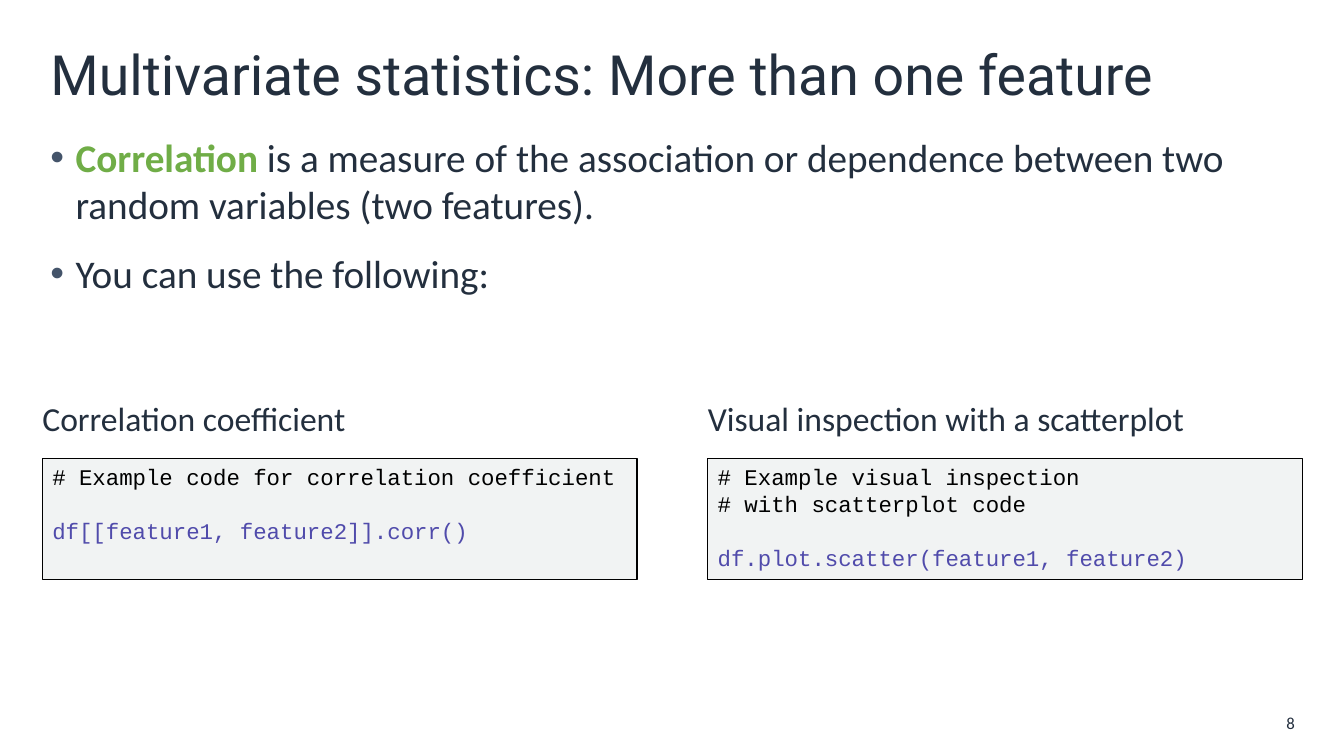
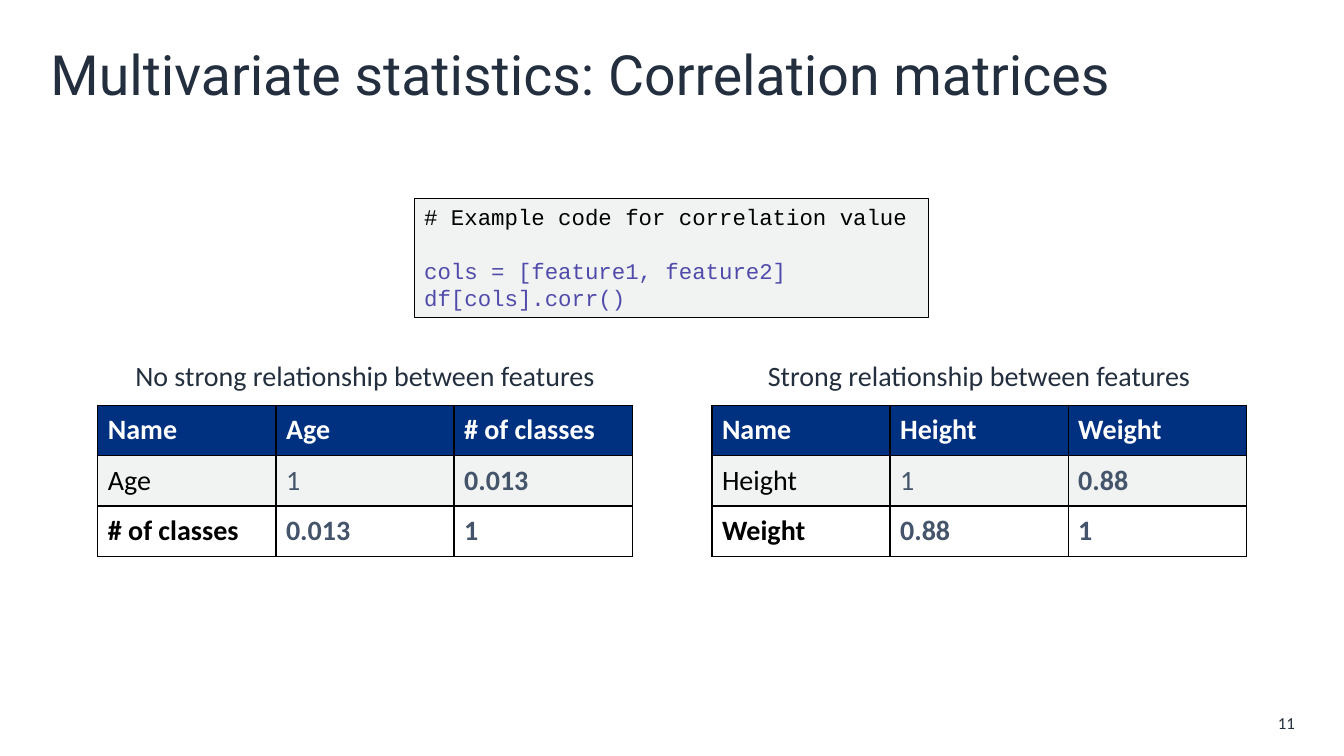
from dataclasses import dataclass

import pptx
import pptx.dml.color
import pptx.enum.shapes
import pptx.enum.text
import pptx.oxml
import pptx.oxml.ns
import pptx.util
from lxml import etree

RGB = pptx.dml.color.RGBColor
Pt = pptx.util.Pt
ALIGN = pptx.enum.text.PP_ALIGN
ANCHOR = pptx.enum.text.MSO_ANCHOR

INK = RGB(0x23, 0x2F, 0x3E)
SLATE = RGB(0x44, 0x54, 0x6A)
GREEN = RGB(0x70, 0xAD, 0x47)
NAVY = RGB(0x00, 0x31, 0x81)
VIOLET = RGB(0x50, 0x4B, 0xAB)
PALE = RGB(0xF1, 0xF3, 0xF3)
WHITE = RGB(0xFF, 0xFF, 0xFF)
BLACK = RGB(0x00, 0x00, 0x00)

BODY_FONT, TITLE_FONT, CODE_FONT = "Calibri", "Roboto", "Courier New"
TITLE_AND_BODY, TITLE_ONLY = 1, 5


@dataclass
class Box:
    """An area in inches; areas inside it are given in percent of it."""
    left: float
    top: float
    width: float
    height: float

    def inner(self, left, top, width, height):
        return Box(self.left + self.width * left / 100,
                   self.top + self.height * top / 100,
                   self.width * width / 100, self.height * height / 100)

    def halves(self, gap):
        width = (100 - gap) / 2
        return [self.inner(left, 0, width, 100) for left in (0, width + gap)]

    def emu(self):
        return [pptx.util.Inches(v)
                for v in (self.left, self.top, self.width, self.height)]


SLIDE = Box(0, 0, 13.33, 7.5)


# Text
def write(paragraph, text, size=20, font=BODY_FONT, color=INK, bold=False,
          align=ALIGN.LEFT, before=None, after=None):
    paragraph.alignment = align
    if before is not None:
        paragraph.space_before = Pt(before)
    if after is not None:
        paragraph.space_after = Pt(after)
    run = paragraph.add_run()
    run.text = text
    run.font.size, run.font.name, run.font.bold = Pt(size), font, bold
    run.font.color.rgb = color


def next_paragraph(frame, index):
    return frame.add_paragraph() if index else frame.paragraphs[0]


def place(shape, box):
    shape.left, shape.top, shape.width, shape.height = box.emu()


def add_label(slide, box, text, side_inset=0.1, anchor=ANCHOR.TOP, **text_format):
    frame = slide.shapes.add_textbox(*box.emu()).text_frame
    frame.word_wrap = True
    frame.vertical_anchor = anchor
    frame.margin_left = frame.margin_right = pptx.util.Inches(side_inset)
    write(frame.paragraphs[0], text, **text_format)


def add_bullet(paragraph):
    properties = paragraph._p.get_or_add_pPr()
    indent = pptx.util.Inches(0.25)
    properties.set("marL", str(indent))
    properties.set("indent", str(-indent))
    color = etree.SubElement(properties, pptx.oxml.ns.qn("a:buClr"))
    etree.SubElement(color, pptx.oxml.ns.qn("a:srgbClr"), val=str(SLATE))
    etree.SubElement(properties, pptx.oxml.ns.qn("a:buFont"), typeface="Arial")
    etree.SubElement(properties, pptx.oxml.ns.qn("a:buChar"), char="•")


# Shared frame: title and page number
def add_slide(deck, layout, title, number):
    slide = deck.slides.add_slide(deck.slide_layouts[layout])
    heading = slide.shapes.title
    place(heading, SLIDE.inner(3, 4.4, 94.07, 10.67))
    heading.text_frame.vertical_anchor = ANCHOR.MIDDLE
    heading.text_frame.auto_size = pptx.enum.text.MSO_AUTO_SIZE.NONE
    write(heading.text_frame.paragraphs[0], title, size=39.6, font=TITLE_FONT)
    add_label(slide, SLIDE.inner(93.1, 94, 3.98, 3.33), number, size=12,
              anchor=ANCHOR.MIDDLE, align=ALIGN.RIGHT)
    return slide


# Bulleted list, each point a list of (text, format) pieces
def fill_body(slide, box, points):
    body = slide.placeholders[1]
    place(body, box)
    body.text_frame.auto_size = pptx.enum.text.MSO_AUTO_SIZE.NONE
    for index, pieces in enumerate(points):
        paragraph = next_paragraph(body.text_frame, index)
        for text, text_format in pieces:
            write(paragraph, text, size=28, before=10, after=6, **text_format)
        add_bullet(paragraph)


# Code panel: comments, a one-line gap, then statements
def add_code(slide, box, comments, statements):
    panel = slide.shapes.add_shape(
        pptx.enum.shapes.MSO_SHAPE.RECTANGLE, *box.emu())
    panel.shadow.inherit = False
    panel.fill.solid()
    panel.fill.fore_color.rgb = PALE
    panel.line.color.rgb = BLACK
    panel.line.width = Pt(1)
    frame = panel.text_frame
    frame.word_wrap = True
    frame.vertical_anchor = ANCHOR.TOP
    for index, line in enumerate(comments + statements):
        write(next_paragraph(frame, index), line, size=16, font=CODE_FONT,
              color=BLACK if index < len(comments) else VIOLET,
              before=19 if index == len(comments) else 0)


def add_captioned_code(slide, box, caption, comments, statements):
    add_label(slide, box.inner(0, 0, 93.22, 27.03), caption, side_inset=0, size=24)
    add_code(slide, box.inner(0, 35.14, 100, 64.86), comments, statements)


# Correlation matrix
def add_borders(cell):
    properties = cell._tc.get_or_add_tcPr()
    for index, side in enumerate(("lnL", "lnR", "lnT", "lnB")):
        properties.insert(index, pptx.oxml.parse_xml(
            f'<a:{side} {pptx.oxml.ns.nsdecls("a")} w="{Pt(1)}"><a:solidFill>'
            f'<a:srgbClr val="{BLACK}"/></a:solidFill></a:{side}>'))


def add_matrix(slide, box, caption, features, correlation):
    add_label(slide, box.inner(0, 0, 100, 21.89), caption, align=ALIGN.CENTER)
    rows = [["Name", *features],
            [features[0], "1", correlation],
            [features[1], correlation, "1"]]
    last = len(rows) - 1
    matrix = slide.shapes.add_table(
        len(rows), len(rows), *box.inner(0, 25.37, 100, 74.63).emu()).table
    matrix.horz_banding = False
    for r, row in enumerate(rows):
        for c, text in enumerate(row):
            cell = matrix.cell(r, c)
            cell.fill.solid()
            cell.fill.fore_color.rgb = (NAVY, PALE, WHITE)[r]
            cell.vertical_anchor = ANCHOR.MIDDLE
            add_borders(cell)
            color = WHITE if r == 0 else BLACK if c == 0 else SLATE
            write(cell.text_frame.paragraphs[0], text, color=color,
                  bold=r in (0, last) or c == last)


# Slides
def add_overview_slide(deck):
    slide = add_slide(deck, TITLE_AND_BODY,
                      "Multivariate statistics: More than one feature", "8")
    fill_body(slide, SLIDE.inner(3, 16.93, 94.07, 76.8), [
        [("Correlation", {"color": GREEN, "bold": True}),
         (" is a measure of the association or dependence between two "
          "random variables (two features).", {})],
        [("You can use the following:", {})],
    ])
    examples = [
        ("Correlation coefficient",
         ["# Example code for correlation coefficient"],
         ["df[[feature1, feature2]].corr()"]),
        ("Visual inspection with a scatterplot",
         ["# Example visual inspection", "# with scatterplot code"],
         ["df.plot.scatter(feature1, feature2)"]),
    ]
    columns = SLIDE.inner(3.15, 52, 93.77, 24.67).halves(gap=5.6)
    for column, example in zip(columns, examples):
        add_captioned_code(slide, column, *example)


def add_matrices_slide(deck):
    slide = add_slide(deck, TITLE_ONLY,
                      "Multivariate statistics: Correlation matrices", "11")
    matrices = [
        ("No strong relationship between features",
         ["Age", "# of classes"], "0.013"),
        ("Strong relationship between features",
         ["Height", "Weight"], "0.88"),
    ]
    columns = SLIDE.inner(7.28, 46.8, 85.45, 26.8).halves(gap=6.94)
    for column, matrix in zip(columns, matrices):
        add_matrix(slide, column, *matrix)
    add_code(slide, SLIDE.inner(30.83, 26.27, 38.26, 15.73),
             ["# Example code for correlation value"],
             ["cols = [feature1, feature2]", "df[cols].corr()"])


def main():
    deck = pptx.Presentation()
    deck.slide_width = pptx.util.Inches(SLIDE.width)
    deck.slide_height = pptx.util.Inches(SLIDE.height)
    add_overview_slide(deck)
    add_matrices_slide(deck)
    deck.save("out.pptx")


if __name__ == "__main__":
    main()
